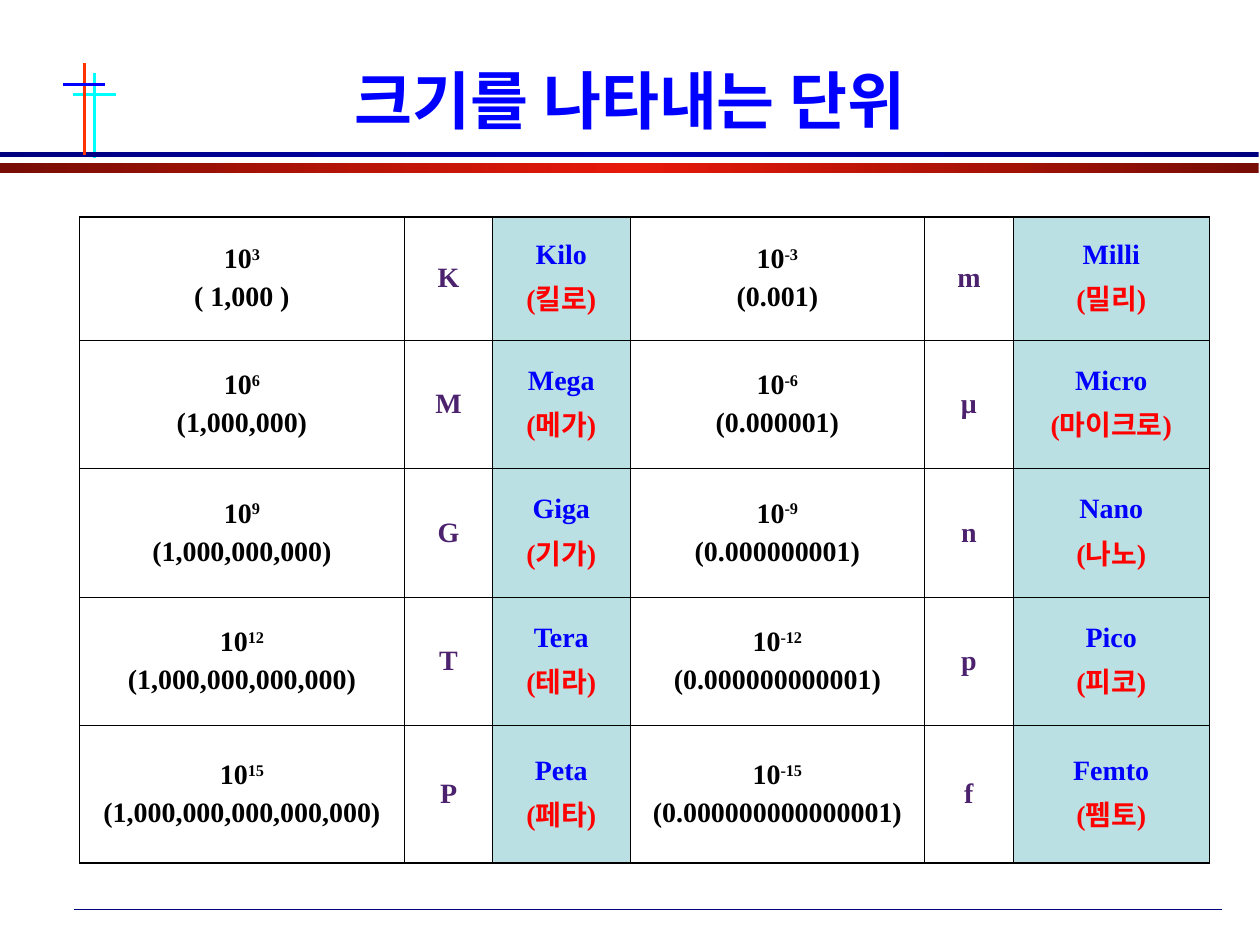
from copy import deepcopy
from dataclasses import dataclass
from typing import Any

from lxml import etree
from pptx import Presentation
from pptx.dml.color import RGBColor
from pptx.enum.shapes import MSO_CONNECTOR, MSO_SHAPE
from pptx.enum.text import MSO_ANCHOR, PP_ALIGN
from pptx.oxml.ns import qn
from pptx.util import Inches, Pt

STRAIGHT = MSO_CONNECTOR.STRAIGHT
RECTANGLE = MSO_SHAPE.RECTANGLE
MIDDLE = MSO_ANCHOR.MIDDLE
CENTER = PP_ALIGN.CENTER


@dataclass(frozen=True)
class Theme:
    font: str = "Times New Roman"
    title_size: float = 36
    cell_size: float = 16
    paragraph_gap: float = 4
    outer_border: float = 1.08
    inner_border: float = 0.45
    blue: str = "0000FF"
    navy: str = "000080"
    cyan: str = "00FFFF"
    orange: str = "FF3300"
    black: str = "000000"
    purple: str = "4C216D"
    red: str = "FF0000"
    pale_teal: str = "BBE0E3"


@dataclass(frozen=True)
class Rule:
    start: tuple[float, float]
    end: tuple[float, float]
    color: str
    width: float


@dataclass(frozen=True)
class Band:
    top: float
    height: float
    edge: str
    middle: str


@dataclass(frozen=True)
class Prefix:
    exponent: str
    value: str
    symbol: str
    name: str
    korean: str


@dataclass(frozen=True)
class TextRun:
    text: str
    color: str
    baseline: int = 0


THEME = Theme()

BACK_RULES = [
    Rule((0.59, 7.22), (9.7, 7.22), THEME.navy, 0.75),
    Rule((0.58, 0.75), (0.92, 0.75), THEME.cyan, 2),
    Rule((0.75, 0.58), (0.75, 1.25), THEME.cyan, 1.75),
]
BANDS = [
    Band(1.21, 0.04, "00007F", "0000B6"),
    Band(1.29, 0.08, "770D05", "E71909"),
]
FRONT_RULES = [
    Rule((0.67, 0.5), (0.67, 1.23), THEME.orange, 1.75),
    Rule((0.5, 0.67), (0.83, 0.67), THEME.blue, 2),
]

COLUMN_WIDTHS = [2.58, 0.7, 1.09, 2.34, 0.7, 1.56]
ROW_HEIGHTS = [0.98, 1.02, 1.02, 1.02, 1.09]
LARGE_PREFIXES = [
    Prefix("3", "( 1,000 )", "K", "Kilo", "(킬로)"),
    Prefix("6", "(1,000,000)", "M", "Mega", "(메가)"),
    Prefix("9", "(1,000,000,000)", "G", "Giga", "(기가)"),
    Prefix("12", "(1,000,000,000,000)", "T", "Tera", "(테라)"),
    Prefix("15", "(1,000,000,000,000,000)", "P", "Peta", "(페타)"),
]
SMALL_PREFIXES = [
    Prefix("-3", "(0.001)", "m", "Milli", "(밀리)"),
    Prefix("-6", "(0.000001)", "μ", "Micro", "(마이크로)"),
    Prefix("-9", "(0.000000001)", "n", "Nano", "(나노)"),
    Prefix("-12", "(0.000000000001)", "p", "Pico", "(피코)"),
    Prefix("-15", "(0.000000000000001)", "f", "Femto", "(펨토)"),
]


def set_attributes(target: Any, values: dict[str, Any]) -> None:
    for name, value in values.items():
        setattr(target, name, value)


def draw_rule(slide: Any, rule: Rule) -> None:
    points = [Inches(value) for value in rule.start + rule.end]
    connector = slide.shapes.add_connector(STRAIGHT, *points)
    connector.line.color.rgb = RGBColor.from_string(rule.color)
    connector.line.width = Pt(rule.width)
    etree.SubElement(connector._element.spPr, qn("a:effectLst"))


def draw_band(slide: Any, band: Band) -> None:
    shape = slide.shapes.add_shape(
        RECTANGLE, 0, Inches(band.top), Inches(9.99), Inches(band.height)
    )
    shape.shadow.inherit = False
    shape.line.fill.background()
    shape.fill.gradient()
    shape.fill.gradient_angle = 0
    stop_list = shape._element.spPr.find(f".//{qn('a:gsLst')}")
    stop_list.append(deepcopy(stop_list[0]))
    colors = [band.edge, band.middle, band.edge]
    for index, (stop, color) in enumerate(zip(shape.fill.gradient_stops, colors)):
        stop.position = index / 2
        stop.color.rgb = RGBColor.from_string(color)


def write_text(text_frame: Any, lines: list[list[TextRun]], size: float) -> None:
    for index, line in enumerate(lines):
        paragraph = text_frame.add_paragraph() if index else text_frame.paragraphs[0]
        paragraph.alignment = CENTER
        if index:
            paragraph.space_before = Pt(THEME.paragraph_gap)
        for item in line:
            run = paragraph.add_run()
            run.text = item.text
            set_attributes(run.font, {"name": THEME.font, "size": Pt(size), "bold": True})
            run.font.color.rgb = RGBColor.from_string(item.color)
            if item.baseline:
                run._r.get_or_add_rPr().set("baseline", str(item.baseline * 1000))


def draw_title(slide: Any, title: str) -> None:
    box = slide.shapes.add_textbox(Inches(1.54), Inches(0.5), Inches(6.92), Inches(0.58))
    set_attributes(box.text_frame, {"word_wrap": True, "vertical_anchor": MIDDLE})
    write_text(box.text_frame, [[TextRun(title, THEME.blue)]], THEME.title_size)


def set_borders(cell: Any, outer_sides: dict[str, bool]) -> None:
    properties = cell._tc.get_or_add_tcPr()
    for side, is_outer in outer_sides.items():
        width = THEME.outer_border if is_outer else THEME.inner_border
        border = etree.SubElement(properties, qn(f"a:{side}"), w=str(Pt(width)))
        fill = etree.SubElement(border, qn("a:solidFill"))
        etree.SubElement(fill, qn("a:srgbClr"), val=THEME.black)


def prefix_cells(prefix: Prefix) -> list[list[list[TextRun]]]:
    power = [TextRun("10", THEME.black), TextRun(prefix.exponent, THEME.black, 30)]
    return [
        [power, [TextRun(prefix.value, THEME.black)]],
        [[TextRun(prefix.symbol, THEME.purple)]],
        [[TextRun(prefix.name, THEME.blue)], [TextRun(prefix.korean, THEME.red)]],
    ]


def draw_prefix_table(slide: Any) -> None:
    last_row, last_column = len(ROW_HEIGHTS) - 1, len(COLUMN_WIDTHS) - 1
    table = slide.shapes.add_table(
        len(ROW_HEIGHTS), len(COLUMN_WIDTHS), Inches(0.63), Inches(1.72),
        Inches(sum(COLUMN_WIDTHS)), Inches(sum(ROW_HEIGHTS)),
    ).table
    set_attributes(table, {"first_row": False, "horz_banding": False})
    for column, width in zip(table.columns, COLUMN_WIDTHS):
        column.width = Inches(width)
    for row, height in zip(table.rows, ROW_HEIGHTS):
        row.height = Inches(height)
    for row_index, (large, small) in enumerate(zip(LARGE_PREFIXES, SMALL_PREFIXES)):
        contents = prefix_cells(large) + prefix_cells(small)
        for column_index, lines in enumerate(contents):
            cell = table.cell(row_index, column_index)
            cell.vertical_anchor = MIDDLE
            write_text(cell.text_frame, lines, THEME.cell_size)
            set_borders(cell, {
                "lnL": column_index == 0,
                "lnR": column_index == last_column,
                "lnT": row_index == 0,
                "lnB": row_index == last_row,
            })
            if column_index % 3 == 2:
                cell.fill.solid()
                cell.fill.fore_color.rgb = RGBColor.from_string(THEME.pale_teal)
            else:
                cell.fill.background()


def main() -> None:
    presentation = Presentation()
    set_attributes(presentation, {"slide_width": Inches(10), "slide_height": Inches(7.5)})
    slide = presentation.slides.add_slide(presentation.slide_layouts[6])
    for rule in BACK_RULES:
        draw_rule(slide, rule)
    for band in BANDS:
        draw_band(slide, band)
    for rule in FRONT_RULES:
        draw_rule(slide, rule)
    draw_title(slide, "크기를 나타내는 단위")
    draw_prefix_table(slide)
    presentation.save("out.pptx")


if __name__ == "__main__":
    main()
